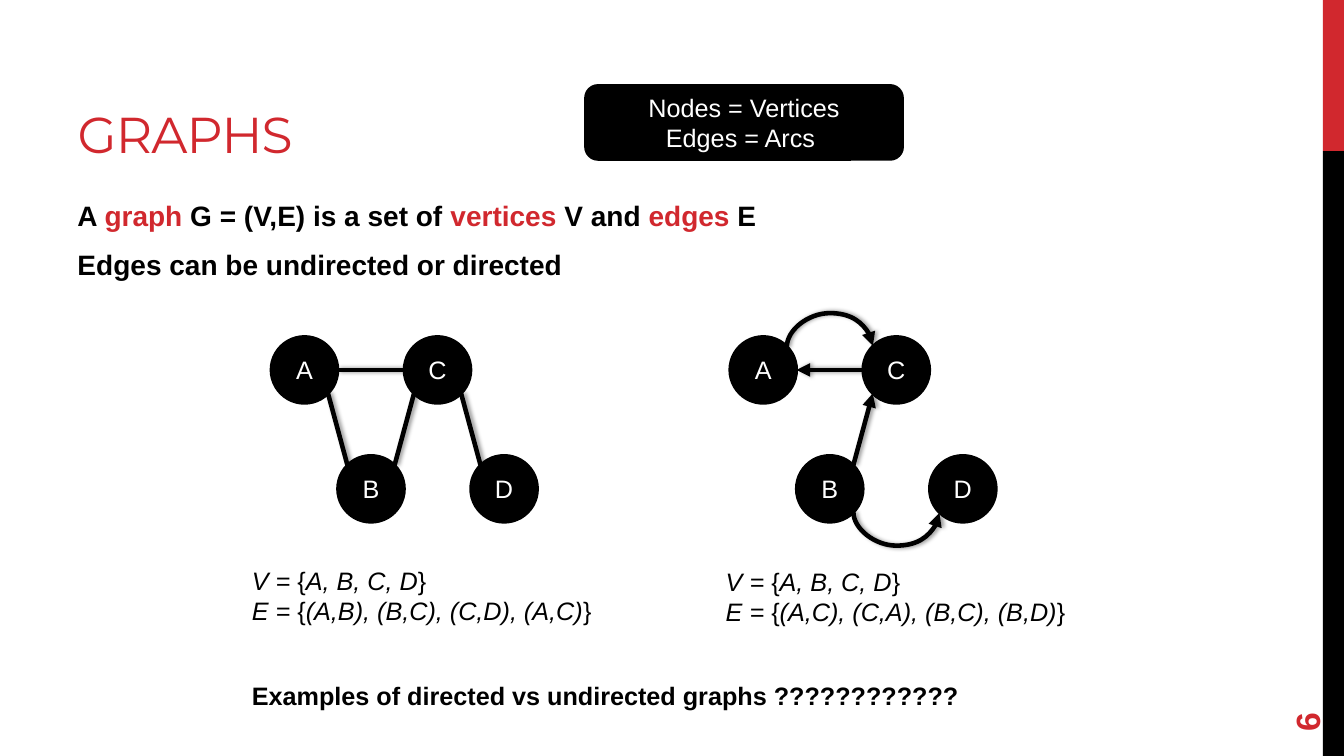
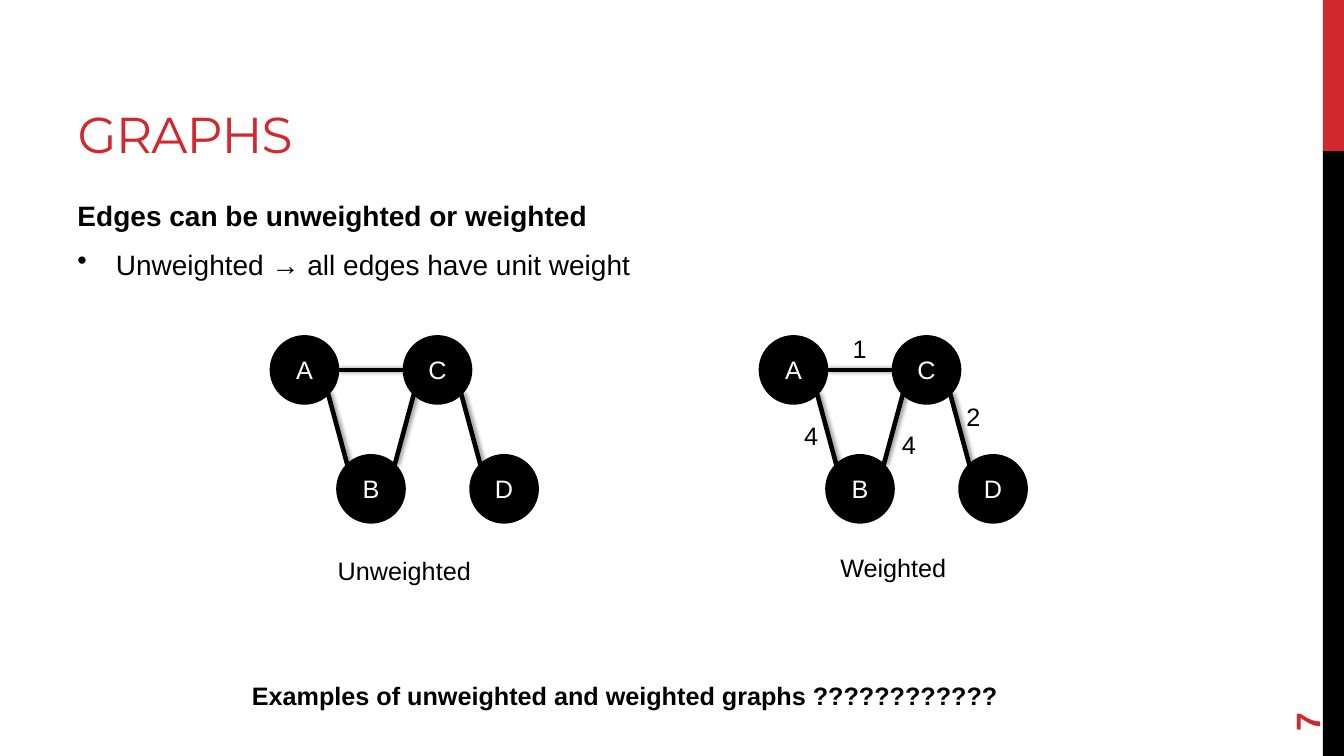
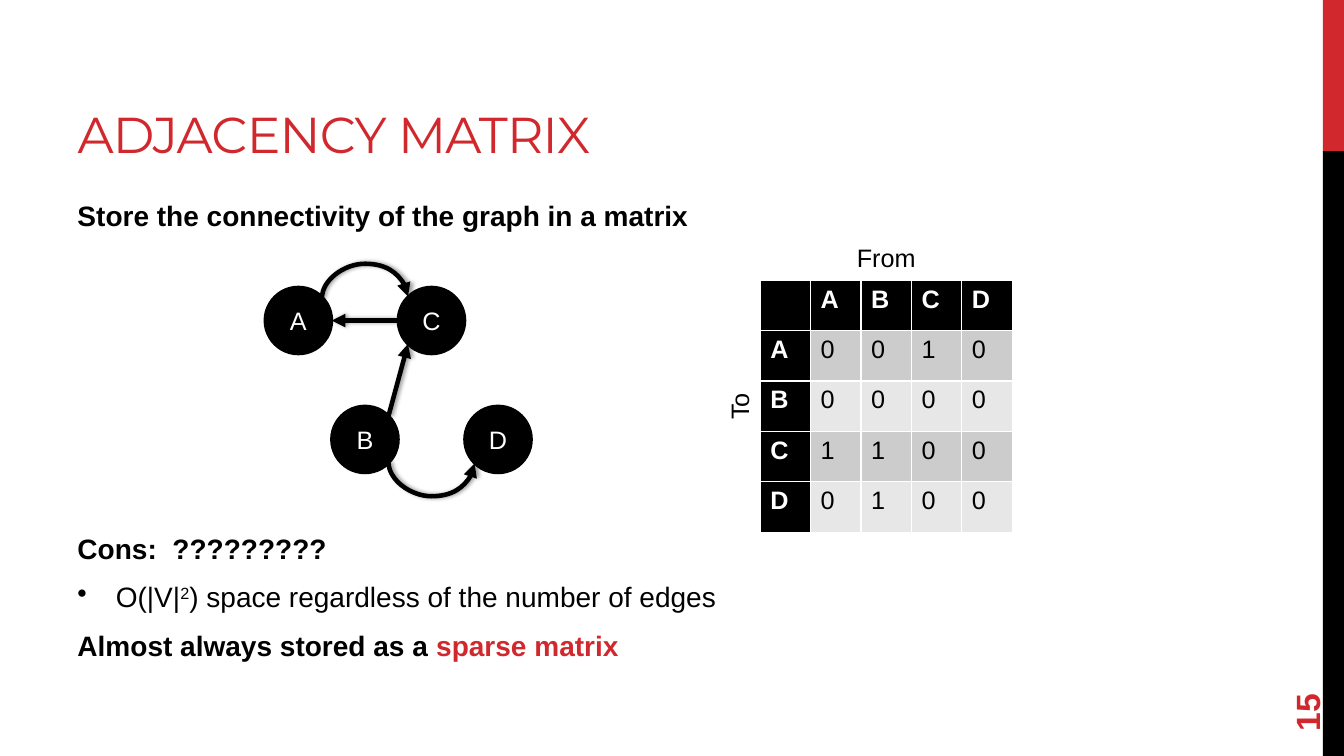
from math import cos, radians, sin

from lxml.etree import SubElement
from pptx import Presentation
from pptx.dml.color import RGBColor
from pptx.enum.shapes import MSO_CONNECTOR as Connector, MSO_SHAPE as Shape
from pptx.enum.text import MSO_ANCHOR as Anchor, MSO_AUTO_SIZE as AutoSize, PP_ALIGN as Align
from pptx.oxml.ns import qn
from pptx.util import Inches, Pt

RED, BLACK, WHITE = "D1282E", "000000", "FFFFFF"
STRIPES = ("CCCCCC", "E7E7E7")

BODY = {"size": Pt(20), "name": "Arial", "bold": True, "color": BLACK}
LABEL = {"size": Pt(18), "name": "Arial", "color": BLACK}
LIGHT_LABEL = {**LABEL, "color": WHITE}
TITLE = {"size": Pt(36), "name": "Montserrat", "color": RED}
PAGE_NUMBER = {"size": Pt(24), "name": "Arial", "bold": True, "color": RED}
KEYWORD = {"color": RED}

NODE = 0.66
NODE_PLACES = {"C": (2 * NODE, 0), "B": (NODE, 1.18), "D": (3 * NODE, 1.18), "A": (0, 0)}
ARC_CHORD_WIDTH, ARC_DEPTH = 0.01, 0.34
ARC_TURNS = {
    "up": {"rot": "5400000", "flipH": "1", "flipV": "1"},
    "down": {"rot": "16200000", "flipH": "1"},
}
# Each edge: from node, angle on it, to node, angle on it (clockwise from the right)
UNDIRECTED = [("A", 0, "C", 180), ("A", 45, "B", 225), ("B", 315, "C", 135), ("D", 225, "C", 45)]
DIRECTED = [("C", 180, "A", 0), ("B", 315, "C", 135)]
ARCS = [("A", 315, "C", 225, "up"), ("B", 45, "D", 135, "down")]


def rgb(color):
    return RGBColor.from_string(color)


def inches(values):
    return [Inches(value) for value in values]


def format_font(font, color, **values):
    font.color.rgb = rgb(color)
    for name, value in values.items():
        setattr(font, name, value)


def add_runs(paragraph, parts, style):
    """Write a string, or a list of strings and (text, changes) pairs."""
    for part in [parts] if isinstance(parts, str) else parts:
        text, changes = (part, {}) if isinstance(part, str) else part
        run = paragraph.add_run()
        run.text = text
        values = {**style, **changes}
        baseline = values.pop("baseline", None)
        format_font(run.font, **values)
        if baseline:
            run.font._element.set("baseline", baseline)


def fill_frame(frame, lines, style, align=Align.LEFT, **settings):
    for name, value in {"word_wrap": True, "auto_size": AutoSize.NONE, **settings}.items():
        setattr(frame, name, value)
    for index, line in enumerate(lines):
        paragraph = frame.add_paragraph() if index else frame.paragraphs[0]
        paragraph.alignment = align
        add_runs(paragraph, line, style)


def add_text(slide, box, lines, style=LABEL, rotation=0, **settings):
    text_box = slide.shapes.add_textbox(*inches(box))
    text_box.rotation = rotation
    fill_frame(text_box.text_frame, lines, style, **settings)
    return text_box


def add_caption(slide, box, text, **settings):
    add_text(slide, box, [text], align=Align.CENTER, **settings)


def add_body(slide, top, height, lines, bullets=()):
    """Add main text; bullets holds the indexes of the bulleted lines."""
    frame = add_text(slide, (0.67, top, 11.11, height), lines, BODY).text_frame
    for index, paragraph in enumerate(frame.paragraphs):
        paragraph.space_before = Pt(4.8 if index else 0)
        paragraph.space_after = Pt(6)
        if index in bullets:
            properties = paragraph._p.get_or_add_pPr()
            properties.set("marL", str(Inches(0.38)))
            properties.set("indent", str(-Inches(0.38)))
            SubElement(properties, qn("a:buChar"), char="•")


def add_block(slide, kind, box, color):
    block = slide.shapes.add_shape(kind, *inches(box))
    block.shadow.inherit = False
    block.fill.solid()
    block.fill.fore_color.rgb = rgb(color)
    block.line.fill.background()
    return block


def add_black_label(slide, kind, box, lines):
    block = add_block(slide, kind, box, BLACK)
    block.line.color.rgb = rgb(BLACK)
    block.line.width = Pt(2.25)
    fill_frame(block.text_frame, lines, LIGHT_LABEL, Align.CENTER, vertical_anchor=Anchor.MIDDLE)


def style_edge(edge, arrow):
    edge.line.color.rgb = rgb(BLACK)
    edge.line.width = Pt(3.25)
    if arrow:
        SubElement(edge.line._get_or_add_ln(), qn("a:tailEnd"), type="triangle")
    effects = SubElement(edge.element.spPr, qn("a:effectLst"))
    shadow = SubElement(effects, qn("a:outerShdw"), blurRad=str(Pt(3.1)),
                        dist=str(Pt(1.8)), dir="0", rotWithShape="0")
    shadow_color = SubElement(shadow, qn("a:srgbClr"), val=BLACK)
    SubElement(shadow_color, qn("a:alpha"), val="40000")


def add_arc(slide, start, end, turn):
    """Add a curved arrow between two points of equal height."""
    middle, y = (start[0] + end[0]) / 2, start[1]
    half_width, half_chord = ARC_CHORD_WIDTH / 2, (end[0] - start[0]) / 2
    corners = (middle - half_width, y - half_chord, middle + half_width, y + half_chord)
    arc = slide.shapes.add_connector(Connector.CURVE, *inches(corners))
    for name, value in ARC_TURNS[turn].items():
        arc.element.spPr.find(qn("a:xfrm")).set(name, value)
    bend = round(ARC_DEPTH / ARC_CHORD_WIDTH * 100000)
    adjustments = arc.element.spPr.find(qn("a:prstGeom")).find(qn("a:avLst"))
    SubElement(adjustments, qn("a:gd"), name="adj1", fmla=f"val {bend}")
    style_edge(arc, arrow=True)


def add_graph(slide, left, top, directed=False):
    def rim(node, angle):
        x, y = NODE_PLACES[node]
        return (left + x + NODE / 2 * (1 + cos(radians(angle))),
                top + y + NODE / 2 * (1 + sin(radians(angle))))

    for name, (x, y) in NODE_PLACES.items():
        add_black_label(slide, Shape.OVAL, (left + x, top + y, NODE, NODE), [name])
    for begin, begin_angle, end, end_angle in DIRECTED if directed else UNDIRECTED:
        points = rim(begin, begin_angle) + rim(end, end_angle)
        edge = slide.shapes.add_connector(Connector.STRAIGHT, *inches(points))
        style_edge(edge, directed)
    if directed:
        for begin, begin_angle, end, end_angle, turn in ARCS:
            add_arc(slide, rim(begin, begin_angle), rim(end, end_angle), turn)


def add_sets(slide, left, top, edges):
    """Write the vertex and edge sets in italics with upright braces."""
    upright = {"italic": False}
    lines = [[f"{name} = ", ("{", upright), members, ("}", upright)]
             for name, members in (("V", "A, B, C, D"), ("E", edges))]
    add_text(slide, (left, top, 5.2, 0.71), lines, {**LABEL, "italic": True})


def add_question(slide, text):
    add_text(slide, (2.4, 6.7, 8.1, 0.4), [text], {**LABEL, "bold": True})


def add_matrix(slide, left, top, names, rows):
    cell_size = 0.5
    count = len(names) + 1
    side = cell_size * count
    table = slide.shapes.add_table(count, count, *inches((left, top, side, side))).table
    table.first_col = True
    for line in [*table.columns]:
        line.width = Inches(cell_size)
    for line in [*table.rows]:
        line.height = Inches(cell_size)
    grid = ["", *names], *([name, *row] for name, row in zip(names, rows))
    for r, values in enumerate(grid):
        for c, value in enumerate(values):
            heading = r == 0 or c == 0
            cell = table.cell(r, c)
            cell.fill.solid()
            cell.fill.fore_color.rgb = rgb(BLACK if heading else STRIPES[(r - 1) % 2])
            if value:
                style = LIGHT_LABEL if heading else LABEL
                add_runs(cell.text_frame.paragraphs[0], value, {**style, "bold": heading})


def add_bands(slide):
    """Place the side bands on the layout that all slides share."""
    layout = slide.slide_layout
    for placeholder in list(layout.placeholders)[1:]:
        layout.shapes.element.remove(placeholder.element)
    for top, height, color in ((0, 1.5, RED), (1.5, 6, BLACK)):
        band = add_block(slide, Shape.RECTANGLE, (13.12, top, 0.21, height), color)
        layout.shapes.element.append(band.element)


def add_slide(deck, title, number):
    slide = deck.slides.add_slide(deck.slide_layouts[5])
    if len(deck.slides) == 1:
        add_bands(slide)
    heading = slide.shapes.title
    heading.left, heading.top, heading.width, heading.height = inches((0.67, 0.17, 8.44, 1.5))
    fill_frame(heading.text_frame, [title], TITLE, vertical_anchor=Anchor.BOTTOM)
    heading.text_frame.paragraphs[0].runs[0].font._element.set("spc", "-60")
    add_text(slide, (12.24, 6.37, 1.44, 0.53), [number], PAGE_NUMBER, 270,
             vertical_anchor=Anchor.MIDDLE)
    return slide


def build_directions(deck):
    slide = add_slide(deck, "GRAPHS", "6")
    add_body(slide, 1.92, 4.78, [
        ["A ", ("graph", KEYWORD), " G = (V,E) is a set of ", ("vertices", KEYWORD),
         " V and ", ("edges", KEYWORD), " E"],
        "Edges can be undirected or directed",
    ])
    add_graph(slide, 2.69, 3.34)
    add_sets(slide, 2.4, 5.56, "(A,B), (B,C), (C,D), (A,C)")
    add_graph(slide, 7.24, 3.34, directed=True)
    add_sets(slide, 7.1, 5.57, "(A,C), (C,A), (B,C), (B,D)")
    add_question(slide, "Examples of directed vs undirected graphs ????????????")
    add_black_label(slide, Shape.ROUNDED_RECTANGLE, (5.81, 0.85, 3.14, 0.73),
                    ["Nodes = Vertices", "Edges = Arcs "])


def build_weights(deck):
    slide = add_slide(deck, "GRAPHS", "7")
    add_body(slide, 1.92, 4.78, [
        "Edges can be unweighted or weighted",
        [("Unweighted → all edges have unit weight", {"bold": False})],
    ], bullets=[1])
    for left, caption_top, caption in ((2.69, 5.46, "Unweighted"), (7.54, 5.43, "Weighted")):
        add_graph(slide, left, 3.34)
        add_caption(slide, (left, caption_top, 4 * NODE, 0.4), caption)
    for weight, left, top in (("1", 8.38, 3.26), ("2", 9.51, 3.93),
                              ("4", 8.87, 4.21), ("4", 7.9, 4.12)):
        add_caption(slide, (left, top, 0.29, 0.4), weight, margin_left=0, margin_right=0)
    add_question(slide, "Examples of unweighted and weighted graphs ????????????")


def build_matrix(deck):
    slide = add_slide(deck, "ADJACENCY MATRIX", "15")
    plain = {"bold": False}
    add_body(slide, 1.92, 0.45, ["Store the connectivity of the graph in a matrix"])
    add_body(slide, 5.22, 1.48, [
        "Cons:  ?????????",
        [("O(|V|", plain), ("2", {**plain, "baseline": "30000"}),
         (") space regardless of the number of edges", plain)],
        ["Almost always stored as a ", ("sparse matrix", KEYWORD)],
    ], bullets=[1])
    add_graph(slide, 2.63, 2.85, directed=True)
    add_matrix(slide, 7.54, 2.78, "ABCD", ["0010", "0000", "1100", "0100"])
    add_caption(slide, (7.54, 2.36, 2.5, 0.4), "From")
    add_caption(slide, (6.08, 3.83, 2.5, 0.4), "To", rotation=270)


def main():
    deck = Presentation()
    deck.slide_width, deck.slide_height = inches((13.33, 7.5))
    build_directions(deck)
    build_weights(deck)
    build_matrix(deck)
    deck.save("out.pptx")


if __name__ == "__main__":
    main()
